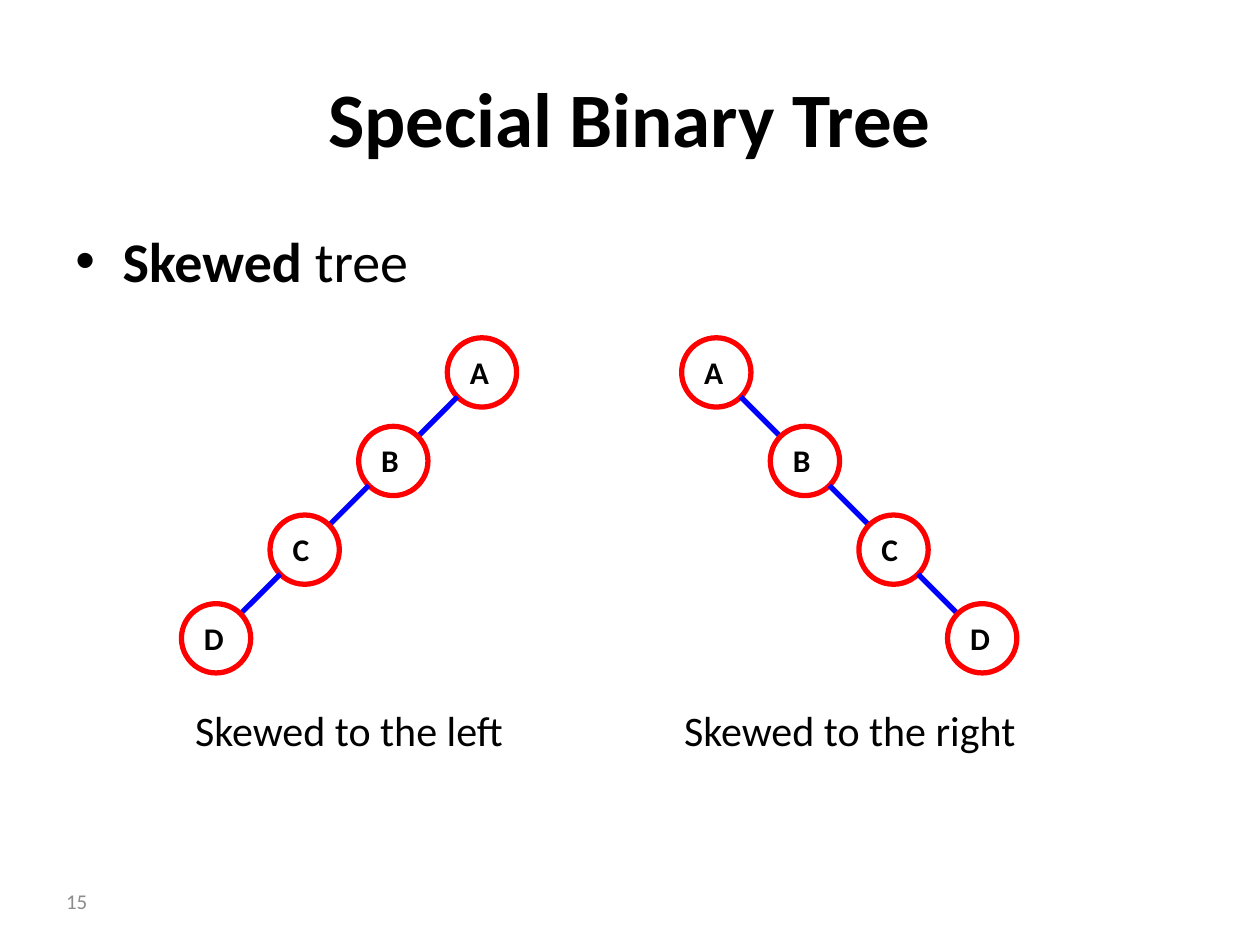
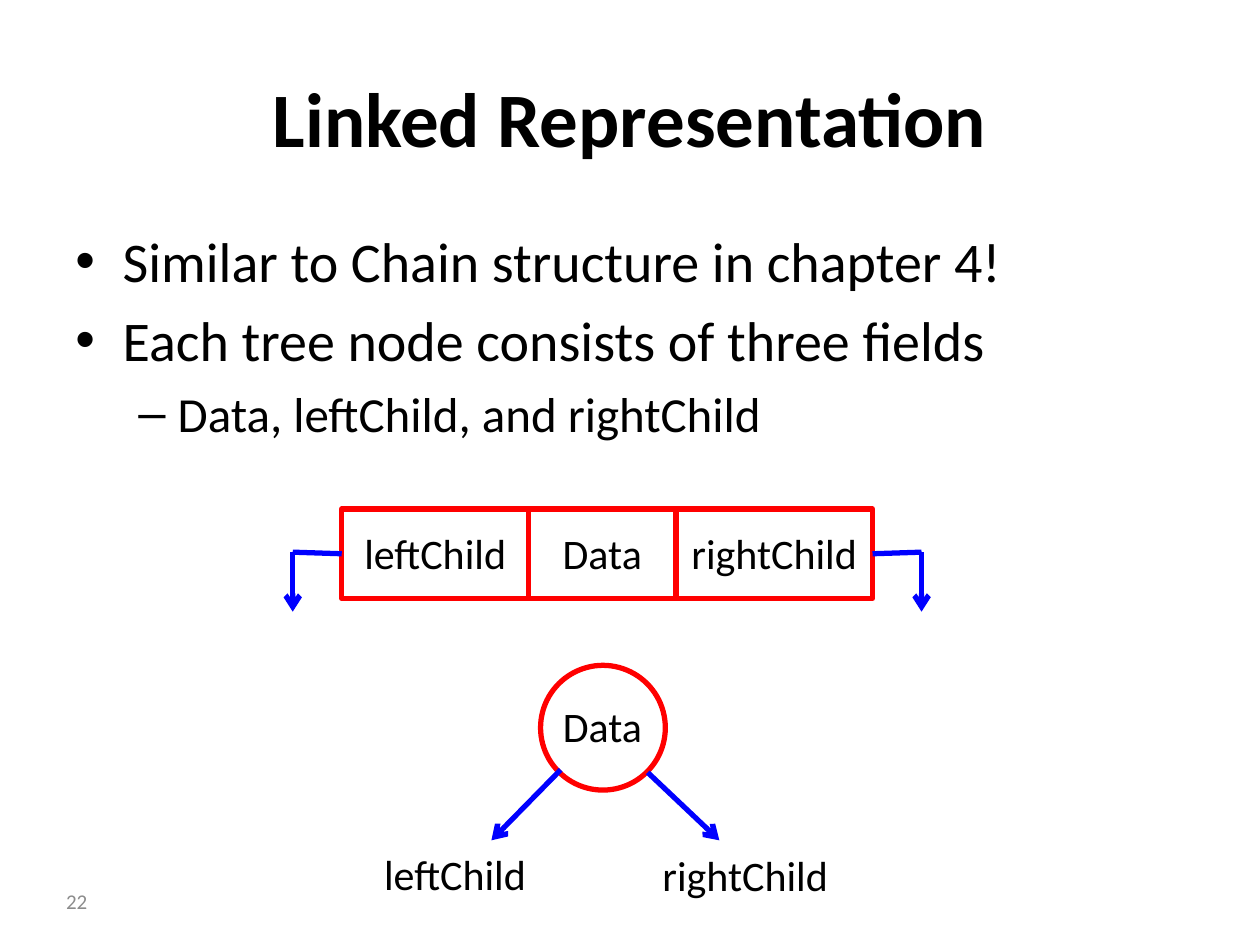
from lxml import etree
from pptx import Presentation
from pptx.dml.color import RGBColor
from pptx.enum.shapes import MSO_CONNECTOR, MSO_SHAPE
from pptx.enum.text import MSO_ANCHOR, PP_ALIGN
from pptx.oxml.ns import qn
from pptx.util import Pt

LEFT, CENTER, RIGHT = PP_ALIGN.LEFT, PP_ALIGN.CENTER, PP_ALIGN.RIGHT
TOP, MIDDLE = MSO_ANCHOR.TOP, MSO_ANCHOR.MIDDLE
OVAL, RECT = MSO_SHAPE.OVAL, MSO_SHAPE.RECTANGLE
STRAIGHT = MSO_CONNECTOR.STRAIGHT

# Content: body lines are (level, [(text, bold), ...])
SKEWED = {
    "title": "Special Binary Tree",
    "number": "15",
    "body": [(0, [("Skewed", True), (" tree", False)])],
}
LINKED = {
    "title": "Linked Representation",
    "number": "22",
    "body": [
        (0, [("Similar to Chain structure in chapter 4!", False)]),
        (0, [("Each tree node consists of three fields", False)]),
        (1, [("Data, leftChild, and rightChild", False)]),
    ],
}
NODES = "ABCD"
# Root left edge, direction of growth, caption, caption left, caption width
TREES = [
    (255.6, -1, "Skewed to the left", 98.6, 201.6),
    (389.5, 1, "Skewed to the right", 378.7, 213.8),
]
FIELDS = [("leftChild", 106.8), ("Data", 84.2), ("rightChild", 112.3)]
# Text, left, top, width
NODE_LABELS = [
    ("Data", 314.6, 389.5, 62.6),
    ("leftChild", 212.4, 473.8, 102.2),
    ("rightChild", 371.5, 474.5, 113),
]
NODE_ARROWS = [(320.4, 439.9, 280.8, 480.2), (370.1, 441.4, 411.1, 480.2)]

# Shared look
FONT = "Calibri"
BLACK, GREY, RED, BLUE = "000000", "8C8C8C", "FF0000", "0000FF"
STROKE = 3
# Text size, left indent, hanging indent, bullet
LEVELS = [(32, 27, -27, "•"), (28, 58.5, -22.5, "–")]
PLAIN_INSETS, LABEL_INSETS = (7.2, 3.6), (7.2, 10.8)
LABEL_H = 51.1
NODE_D, NODE_STEP, ROOT_TOP = 39.6, 50.65, 193
RECORD_LEFT, RECORD_TOP = 195.3, 290.9
HOOK, HOOK_DROP = 28, 34


def rgb(hex_text):
    return RGBColor.from_string(hex_text)


def add_run(p, text, size, bold=False, color=BLACK):
    r = p.add_run()
    r.text = text
    for name, value in {"name": FONT, "size": Pt(size), "bold": bold}.items():
        setattr(r.font, name, value)
    r.font.color.rgb = rgb(color)


def set_frame(sp, insets=PLAIN_INSETS, anchor=TOP):
    side, end = map(Pt, insets)
    tf = sp.text_frame
    settings = {"margin_left": side, "margin_right": side, "margin_top": end,
                "margin_bottom": end, "vertical_anchor": anchor, "word_wrap": True}
    for name, value in settings.items():
        setattr(tf, name, value)
    return tf


def write(sp, text, size, align=LEFT, bold=False, color=BLACK,
          insets=PLAIN_INSETS, anchor=TOP):
    p = set_frame(sp, insets, anchor).paragraphs[0]
    p.alignment = align
    add_run(p, text, size, bold, color)


def add_box(s, x, y, w, h):
    return s.shapes.add_textbox(Pt(x), Pt(y), Pt(w), Pt(h))


def add_outline(s, kind, x, y, w, h):
    sp = s.shapes.add_shape(kind, Pt(x), Pt(y), Pt(w), Pt(h))
    sp.shadow.inherit = False
    sp.fill.background()
    sp.line.color.rgb = rgb(RED)
    sp.line.width = Pt(STROKE)
    return sp


def add_line(s, x1, y1, x2, y2, arrow=False):
    line = s.shapes.add_connector(STRAIGHT, Pt(x1), Pt(y1), Pt(x2), Pt(y2))
    line.line.color.rgb = rgb(BLUE)
    line.line.width = Pt(STROKE)
    if arrow:
        etree.SubElement(line.line._get_or_add_ln(), qn("a:tailEnd"), type="arrow")
    etree.SubElement(line._element.spPr, qn("a:effectLst"))


def add_bullet(p, indent, hang, char):
    pPr = p._p.get_or_add_pPr()
    pPr.set("marL", str(Pt(indent)))
    pPr.set("indent", str(Pt(hang)))
    etree.SubElement(pPr, qn("a:buFont"), typeface="Arial")
    etree.SubElement(pPr, qn("a:buChar"), char=char)


def add_slide(prs, content):
    s = prs.slides.add_slide(prs.slide_layouts[6])
    write(add_box(s, 36, 21.6, 648, 90), content["title"], 44, CENTER, True,
          anchor=MIDDLE)
    tf = set_frame(add_box(s, 36, 126, 648, 356.4))
    for i, (level, runs) in enumerate(content["body"]):
        p = tf.add_paragraph() if i else tf.paragraphs[0]
        size, *bullet = LEVELS[level]
        p.level = level
        p.space_before = Pt(6.4)
        add_bullet(p, *bullet)
        for text, bold in runs:
            add_run(p, text, size, bold)
    write(add_box(s, 0, 500.4, 57, 28.8), content["number"], 12, RIGHT,
          color=GREY, anchor=MIDDLE)
    return s


def draw_skewed_tree(s, root_left, direction, caption, caption_left, caption_w):
    # Edges meet the circles on their diagonals
    reach = NODE_D / 2 * 0.707
    for i, name in enumerate(NODES):
        x, y = root_left + direction * i * NODE_STEP, ROOT_TOP + i * NODE_STEP
        add_outline(s, OVAL, x, y, NODE_D, NODE_D)
        write(add_box(s, x + 5.8, y - 2.2, 28.1, 47.5), name, 18, bold=True,
              insets=LABEL_INSETS)
        if i < len(NODES) - 1:
            cx, cy = x + NODE_D / 2, y + NODE_D / 2
            far = NODE_STEP - reach
            add_line(s, cx + direction * reach, cy + reach,
                     cx + direction * far, cy + far)
    write(add_box(s, caption_left, 391.7, caption_w, LABEL_H), caption, 24,
          CENTER, insets=LABEL_INSETS)


def draw_record(s):
    x = RECORD_LEFT
    for name, width in FIELDS:
        sp = add_outline(s, RECT, x, RECORD_TOP, width, LABEL_H)
        write(sp, name, 24, CENTER, insets=LABEL_INSETS)
        x += width
    # Pointers leave both ends and turn down
    y = RECORD_TOP + LABEL_H / 2
    for edge, direction in ((RECORD_LEFT, -1), (x, 1)):
        bend = edge + direction * HOOK
        add_line(s, edge, y, bend, y - 0.9)
        add_line(s, bend, y - 0.9, bend, y - 0.9 + HOOK_DROP, arrow=True)


def draw_node(s):
    add_outline(s, OVAL, 308.9, 380.2, 71.3, 71.3)
    for ends in NODE_ARROWS:
        add_line(s, *ends, arrow=True)
    for name, x, y, width in NODE_LABELS:
        write(add_box(s, x, y, width, LABEL_H), name, 24, insets=LABEL_INSETS)


def main():
    prs = Presentation()
    prs.slide_width, prs.slide_height = Pt(720), Pt(540)

    s = add_slide(prs, SKEWED)
    for tree in TREES:
        draw_skewed_tree(s, *tree)

    s = add_slide(prs, LINKED)
    draw_record(s)
    draw_node(s)

    prs.save("out.pptx")


if __name__ == "__main__":
    main()
